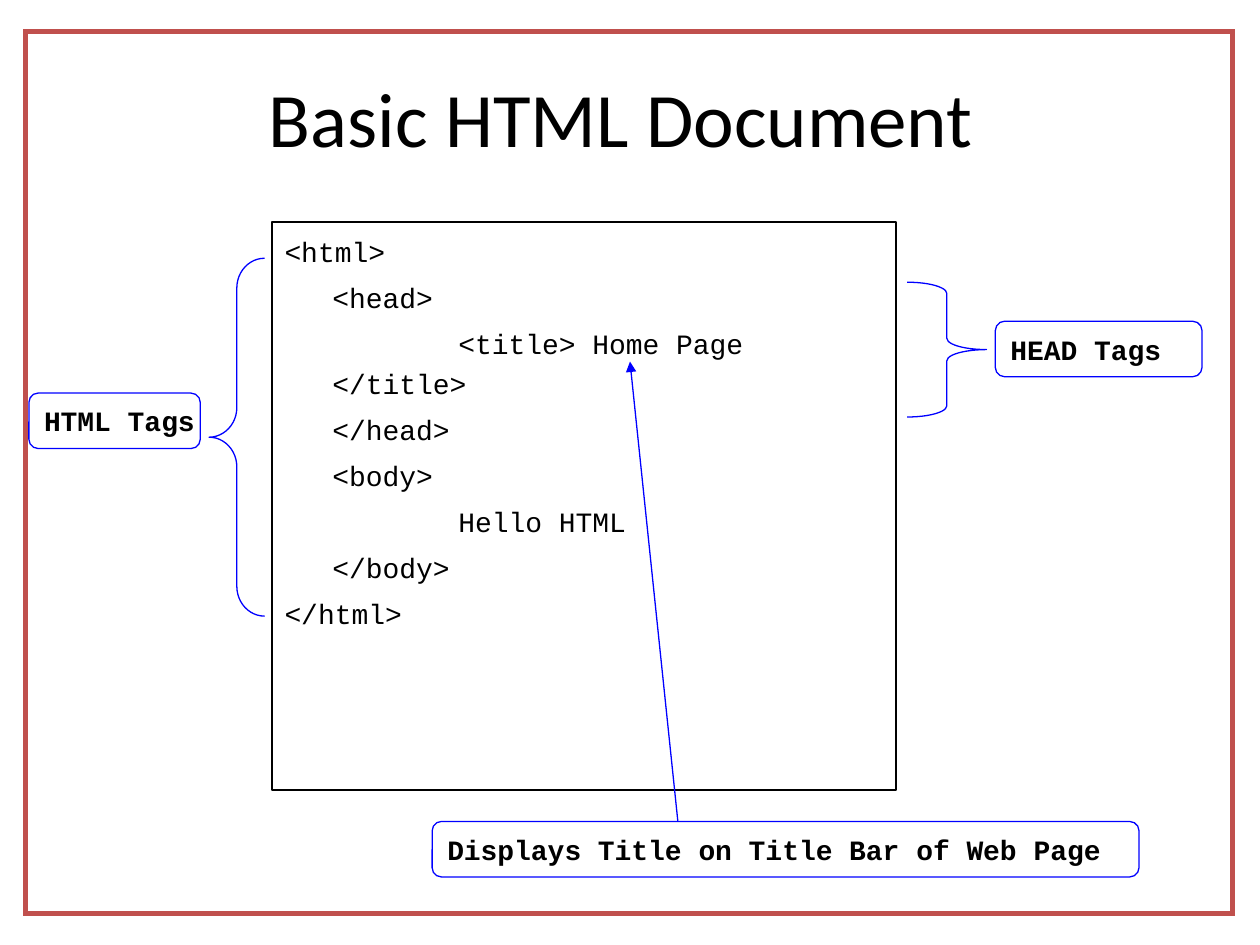
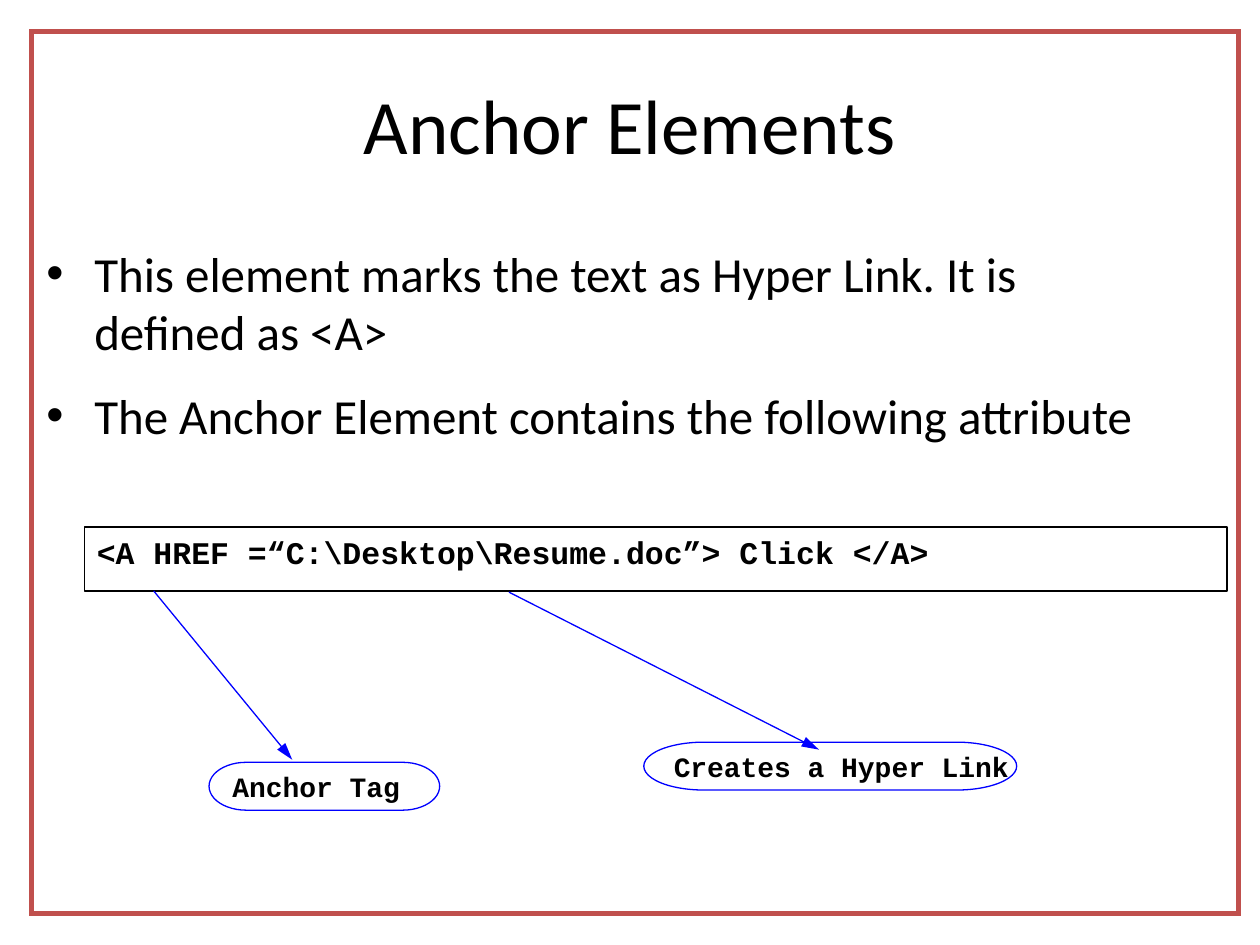
import pptx
import pptx.util
import pptx.dml.color
import pptx.enum.shapes
import pptx.enum.text
import pptx.oxml.ns
from lxml import etree

HUES = {"paper": "FFFFFF", "frame": "C0504D", "ink": "000000", "note": "0000FF"}
SANS, MONO = "Calibri", "Courier New"
KIND = pptx.enum.shapes.MSO_SHAPE
ANCHOR = pptx.enum.text.MSO_ANCHOR
ALIGN = pptx.enum.text.PP_ALIGN
CODE = [(0, "<html>"), (1, "<head>"), (2, "<title> Home Page </title>"),
        (1, "</head>"), (1, "<body>"), (2, "Hello HTML"),
        (1, "</body>"), (0, "</html>")]
POINTS = ["This element marks the text as Hyper Link. It is defined as <A>",
          "The Anchor Element contains the following attribute"]


def hue(name):
    """Return a named colour."""
    return pptx.dml.color.RGBColor.from_string(HUES[name])


def shift(box, x, y):
    """Return a point measured from the corner of a box."""
    return box[0] + x, box[1] + y


def lens(nums):
    """Turn numbers into inch lengths."""
    return [pptx.util.Inches(n) for n in nums]


def child(node, tag, **keys):
    """Append a drawing element to a node."""
    return etree.SubElement(node, pptx.oxml.ns.qn("a:" + tag), **keys)


def write(frame, lines, font, size, bold=False, align=ALIGN.LEFT):
    """Fill a text frame and format its runs."""
    frame.text = "\n".join(lines)
    for par in frame.paragraphs:
        par.alignment = align
        for run in par.runs:
            run.font.name = font
            run.font.size = pptx.util.Pt(size)
            run.font.bold = bold
            run.font.color.rgb = hue("ink")


def space(par, share, hang=False, dot=False):
    """Set relative space before a paragraph, hanging indent, tabs and bullet."""
    props = par._p.get_or_add_pPr()
    if hang:
        edge, tab = lens((0.38, 1))
        props.set("marL", str(edge))
        props.set("indent", str(-edge))
        props.set("defTabSz", str(tab))
    child(child(props, "spcBef"), "spcPct", val=str(share * 1000))
    if dot:
        child(props, "buFont", typeface="Arial")
        child(props, "buChar", char="•")


def outline(slide, kind, box, line, width, fill=None, adj=()):
    """Add a preset shape with a coloured outline."""
    shape = slide.shapes.add_shape(kind, *lens(box))
    shape.shadow.inherit = False
    if fill:
        shape.fill.solid()
        shape.fill.fore_color.rgb = hue(fill)
    else:
        shape.fill.background()
    shape.line.color.rgb = hue(line)
    shape.line.width = pptx.util.Pt(width)
    for i, val in enumerate(adj):
        shape.adjustments[i] = val
    return shape


def label(slide, kind, box, text, adj=()):
    """Add a blue outlined label."""
    frame = outline(slide, kind, box, "note", 0.75, adj=adj).text_frame
    frame.word_wrap = False
    frame.vertical_anchor = ANCHOR.MIDDLE
    write(frame, [text], MONO, 16, True)


def arrow(slide, start, end, size="med"):
    """Draw a blue arrow between two points."""
    line = slide.shapes.add_connector(
        pptx.enum.shapes.MSO_CONNECTOR.STRAIGHT, *lens(start + end))
    line.line.color.rgb = hue("note")
    line.line.width = pptx.util.Pt(0.75)
    child(line.line._get_or_add_ln(), "tailEnd", type="triangle", len=size)
    child(line._element.spPr, "effectLst")


def page(deck, title, box, head):
    """Add a framed slide whose title is placed within the frame."""
    slide = deck.slides.add_slide(deck.slide_layouts[5])
    frame = outline(slide, KIND.RECTANGLE, box, "frame", 3, "paper")
    child(frame.line._get_or_add_ln(), "miter", lim="800000")
    slide.shapes._spTree.insert(2, frame._element)
    name = slide.shapes.title
    name.left, name.top, name.width, name.height = lens(
        shift(box, *head[:2]) + head[2:])
    name.text_frame.vertical_anchor = ANCHOR.MIDDLE
    write(name.text_frame, [title], SANS, 44, align=ALIGN.CENTER)
    return slide


def listing(slide, box):
    """Show the sample document with its braces and labels."""
    frame = outline(slide, KIND.RECTANGLE, box, "ink", 1).text_frame
    frame.word_wrap = True
    frame.vertical_anchor = ANCHOR.TOP
    write(frame, ["\t" * depth + text for depth, text in CODE], MONO, 16)
    for par in frame.paragraphs:
        space(par, 20, hang=True)
        par.line_spacing = 1.2
    for x, y, wide, text in [
            (1.27, 4.76, 5.61, "Displays Title on Title Bar of Web Page"),
            (-1.93, 1.36, 1.36, "HTML Tags"),
            (5.74, 0.79, 1.64, "HEAD Tags")]:
        label(slide, KIND.ROUNDED_RECTANGLE, shift(box, x, y) + (wide, 0.44),
              text, [0.167])
    for kind, x, y, size, bend in [
            (KIND.LEFT_BRACE, -0.5, 0.29, (0.44, 2.84), 0.536),
            (KIND.RIGHT_BRACE, 5.04, 0.48, (0.63, 1.07), 0.142)]:
        outline(slide, kind, shift(box, x, y) + size, "note", 0.75,
                adj=[bend, 0.5])
    arrow(slide, shift(box, 3.22, 4.76), shift(box, 2.84, 1.11))


def bullets(slide, box):
    """List the points on the element."""
    frame = slide.shapes.add_textbox(*lens(box)).text_frame
    frame.word_wrap = True
    write(frame, POINTS, SANS, 28)
    for par in frame.paragraphs:
        space(par, 50, hang=True, dot=True)


def sample(slide, box):
    """Show the link code with arrows to its labels."""
    frame = outline(slide, KIND.RECTANGLE, box, "ink", 1).text_frame
    frame.word_wrap = True
    frame.auto_size = pptx.enum.text.MSO_AUTO_SIZE.SHAPE_TO_FIT_TEXT
    frame.vertical_anchor = ANCHOR.TOP
    write(frame, ["<A HREF =“C:\\Desktop\\Resume.doc”> Click </A>"],
          MONO, 18, True)
    space(frame.paragraphs[0], 50)
    for text, spot, wide, start, end in [
            ("Creates a Hyper Link", (4.44, 1.71), 2.96,
             (3.37, 0.52), (5.83, 1.77)),
            ("Anchor Tag", (0.99, 1.87), 1.83, (0.55, 0.51), (1.65, 1.85))]:
        arrow(slide, shift(box, *start), shift(box, *end), "lg")
        label(slide, KIND.FLOWCHART_TERMINATOR,
              shift(box, *spot) + (wide, 0.38), text)


def main():
    """Build and save the deck."""
    deck = pptx.Presentation()
    deck.slide_width, deck.slide_height = lens((10, 7.5))
    basic = page(deck, "Basic HTML Document ", (0.2, 0.25, 9.58, 7),
                 (0.3, 0.05, 9, 1.25))
    listing(basic, (2.16, 1.76, 4.95, 4.51))
    link = page(deck, "Anchor Elements", (0.25, 0.25, 9.58, 7),
                (0.5, 0.11, 8.5, 1.25))
    sample(link, (0.67, 4.18, 9.07, 0.51))
    bullets(link, (0.27, 1.88, 9.16, 1.64))
    deck.save("out.pptx")


if __name__ == "__main__":
    main()
